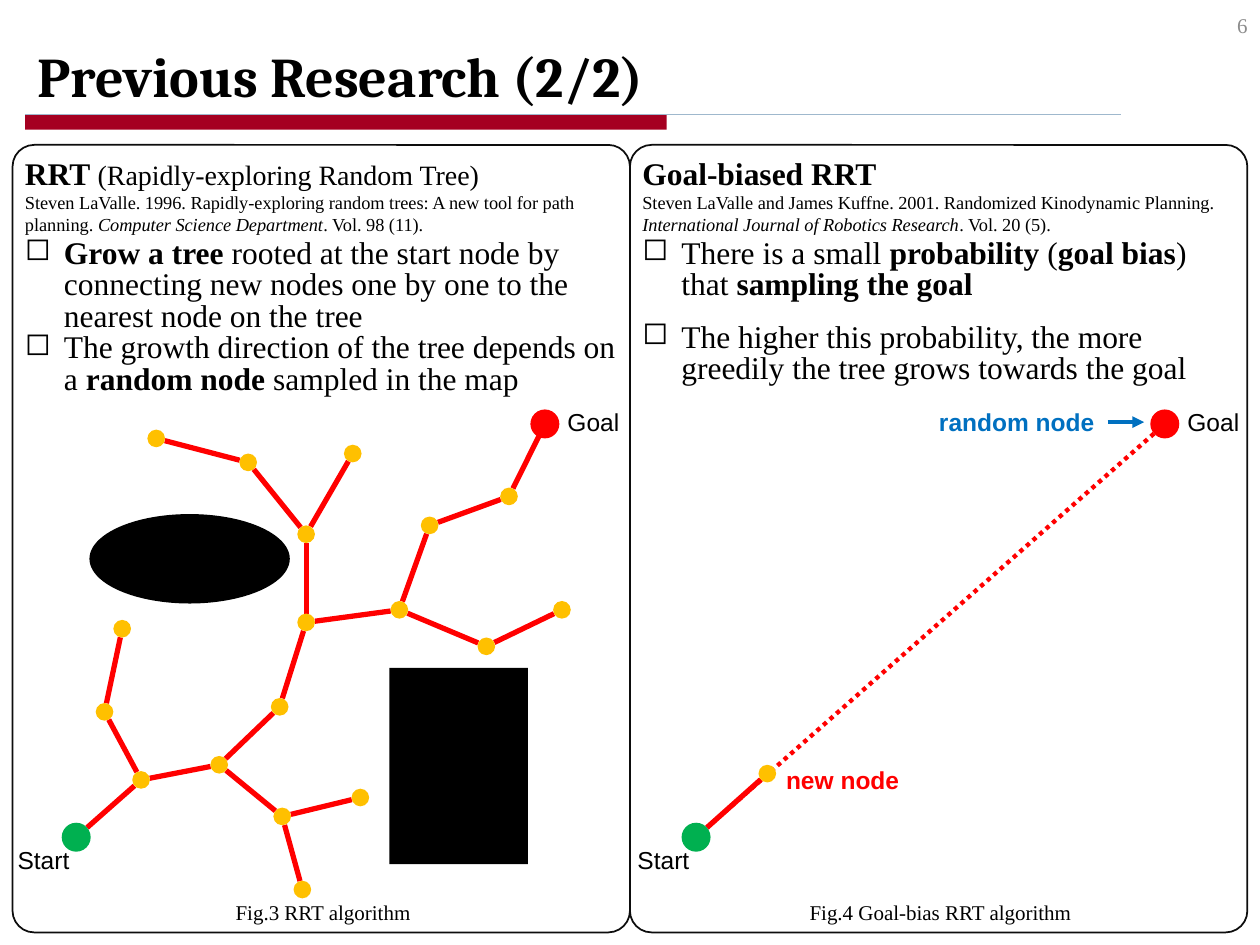
from math import hypot
from pptx import Presentation
from pptx.dml.color import RGBColor
from pptx.enum.dml import MSO_LINE
from pptx.enum.shapes import MSO_CONNECTOR, MSO_SHAPE
from pptx.enum.text import MSO_ANCHOR, PP_ALIGN
from pptx.oxml.ns import qn
from pptx.util import Inches, Pt
from lxml.etree import SubElement

COLORS = {
    "black": "000000", "frame": "0D0D0D", "wine": "A50021", "rule": "9FB8CD",
    "red": "FF0000", "green": "00B050", "gold": "FFC000", "blue": "0070C0", "gray": "8C8C8C",
}
SERIF = "Times New Roman"
FONTS = {
    "title": {"name": "Cambria", "size": Pt(32), "bold": True},
    "page": {"name": SERIF, "size": Pt(12)},
    "label": {"name": "Arial", "size": Pt(14)},
    "strong": {"name": "Arial", "size": Pt(14), "bold": True},
    "head": {"name": SERIF, "size": Pt(16)},
    "head*": {"name": SERIF, "size": Pt(18), "bold": True},
    "cite": {"name": SERIF, "size": Pt(10.5)},
    "cite*": {"name": SERIF, "size": Pt(10.5), "italic": True},
    "item": {"name": SERIF, "size": Pt(18)},
    "item*": {"name": SERIF, "size": Pt(18), "bold": True},
}
PARAS = {
    "cite": {"space_after": Pt(2)},
    "item": {"line_spacing": Pt(18)},
}
COLS, ROWS = 100, 75
DOT, DISC = 0.7, 1.15

START, GOAL = (6.05, 66.45), (43.25, 33.65)
SHIFT = 49.2
TREE = {
    "a": ("start", 11.2, 61.9), "b": ("a", 8.3, 56.5), "c": ("b", 9.7, 49.9),
    "d": ("a", 17.4, 60.7), "e": ("d", 22.4, 64.8), "f": ("e", 28.6, 63.3),
    "g": ("e", 24, 70.6), "h": ("d", 22.2, 56.1), "i": ("h", 24.3, 49.4),
    "j": ("i", 24.3, 42.4), "k": ("j", 19.7, 36.7), "l": ("k", 12.4, 34.8),
    "m": ("j", 28, 36), "n": ("i", 31.7, 48.4), "o": ("n", 34.1, 41.7),
    "p": ("o", 40.4, 39.4), "q": ("n", 38.6, 51.3), "r": ("q", 44.6, 48.4),
}
LEFT = [
    ("head", "*RRT *(Rapidly-exploring Random Tree)", {}),
    ("cite", "Steven LaValle. 1996. Rapidly-exploring random trees: A new tool for path planning. "
             "*Computer Science Department*. Vol. 98 (11).", {}),
    ("item", "*Grow a tree *rooted at the start node by connecting new nodes one by one "
             "to the nearest node on the tree", {}),
    ("item", "The growth direction of the tree depends on a *random node *sampled in the map", {}),
]
RIGHT = [
    ("head", "*Goal-biased RRT*", {}),
    ("cite", "Steven LaValle and James Kuffne. 2001. Randomized Kinodynamic Planning. "
             "*International Journal of Robotics Research*. Vol. 20 (5).", {}),
    ("item", "There is a small *probability *(*goal bias*) that *sampling the goal*", {}),
    ("item", "The higher this probability, the more greedily the tree grows towards the goal",
     {"space_before": Pt(12)}),
]


def tint(name):
    return RGBColor.from_string(COLORS[name])


def assign(target, values):
    for key, value in values.items():
        setattr(target, key, value)


class Page:
    def __init__(self, deck):
        self.slide = deck.slides.add_slide(deck.slide_layouts[6])
        self.col = deck.slide_width / COLS
        self.row = deck.slide_height / ROWS

    def span(self, x, y, *rest):
        steps = (self.col, self.row) * 2
        return [round(n * step) for n, step in zip((x, y, *rest), steps)]

    def shape(self, kind, box, fill=None, line=None):
        form = self.slide.shapes.add_shape(kind, *self.span(*box))
        form.shadow.inherit = False
        if fill:
            form.fill.solid()
            form.fill.fore_color.rgb = tint(fill)
        else:
            form.fill.background()
        if line:
            form.line.color.rgb = tint(line)
            form.line.width = Pt(1)
        else:
            form.line.fill.background()
        return form

    def disc(self, spot, size, fill):
        x, y = spot
        self.shape(MSO_SHAPE.OVAL, (x - size, y - size, 2 * size, 2 * size), fill)

    def line(self, start, end, color, width, dash=None, arrow=False):
        link = self.slide.shapes.add_connector(
            MSO_CONNECTOR.STRAIGHT, *self.span(*start, *end))
        link.line.color.rgb = tint(color)
        assign(link.line, {"width": Pt(width), "dash_style": dash})
        if arrow:
            SubElement(link.line._get_or_add_ln(), qn("a:tailEnd"), type="triangle")
        SubElement(link._element.spPr, qn("a:effectLst"))
        return link

    def edge(self, start, end, trim, width=3, dash=None):
        dx, dy = end[0] - start[0], end[1] - start[1]
        size = hypot(dx, dy)
        ends = [(x + sign * cut * dx / size, y + sign * cut * dy / size)
                for (x, y), cut, sign in zip((start, end), trim, (1, -1))]
        self.line(*ends, "red", width, dash)

    def text(self, box, paras, color="black", align=PP_ALIGN.LEFT,
             anchor=MSO_ANCHOR.TOP, wrap=True):
        form = self.slide.shapes.add_textbox(*self.span(*box))
        frame = form.text_frame
        assign(frame, {"word_wrap": wrap, "vertical_anchor": anchor})
        for n, (style, words, extra) in enumerate(paras):
            para = frame.add_paragraph() if n else frame.paragraphs[0]
            assign(para, {"alignment": align, **PARAS.get(style, {}), **extra})
            if style == "item":
                self.bullet(para)
            for turn, part in enumerate(words.split("*")):
                if part:
                    run = para.add_run()
                    run.text = part
                    assign(run.font, FONTS[style + "*" * (turn % 2)])
                    run.font.color.rgb = tint(color)
        return form

    def bullet(self, para):
        props = para._p.get_or_add_pPr()
        props.set("marL", str(Inches(0.31)))
        props.set("indent", str(-Inches(0.31)))
        SubElement(props, qn("a:buChar"), char="◻")

    def label(self, box, words, style="label", color="black",
              align=PP_ALIGN.CENTER, **more):
        return self.text(box, [(style, words, {})], color, align, **more)


def main():
    deck = Presentation()
    deck.slide_width, deck.slide_height = Inches(10), Inches(7.5)
    page = Page(deck)

    page.shape(MSO_SHAPE.RECTANGLE, (2, 9.1, 50.9, 1.2), "wine")
    page.line((2, 9.1), (89, 9.1), "rule", 0.75)
    page.label((2, 0, 98, 9.1), "Previous Research (2/2)", "title",
               align=PP_ALIGN.LEFT, anchor=MSO_ANCHOR.BOTTOM)
    page.label((77.5, 0, 22.5, 4), "6", "page", "gray",
               PP_ALIGN.RIGHT, anchor=MSO_ANCHOR.MIDDLE)

    for x, paras, note in ((1, LEFT, "Fig.3 RRT algorithm"),
                           (50, RIGHT, "Fig.4 Goal-bias RRT algorithm")):
        panel = page.shape(MSO_SHAPE.ROUNDED_RECTANGLE, (x, 11.5, 49, 62.5), line="frame")
        panel.adjustments[0] = 0.035
        page.text((x, 11.7, 49, 20), paras)
        page.label((x + 8.8, 70.9, 31.7, 3), note, "page")

    page.shape(MSO_SHAPE.OVAL, (7.1, 40.8, 15.9, 7.1), "black")
    page.shape(MSO_SHAPE.RECTANGLE, (30.9, 53, 11, 15.6), "black")

    spots = {"start": START, **{name: (x, y) for name, (_, x, y) in TREE.items()}}
    for name, (root, *_) in TREE.items():
        page.edge(spots[root], spots[name], (DISC if root == "start" else DOT, DOT))
    page.edge(spots["p"], GOAL, (DOT, 0))

    first, last = [(x + SHIFT, y) for x, y in (START, GOAL)]
    fresh = (60.9, 61.4)
    page.edge(last, first, (DISC, DISC), 2.5, MSO_LINE.ROUND_DOT)
    page.edge(first, fresh, (DISC, DOT))

    for name in TREE:
        page.disc(spots[name], DOT, "gold")
    page.disc(fresh, DOT, "gold")
    for x in (0, SHIFT):
        page.disc((START[0] + x, START[1]), DISC, "green")
        page.disc((GOAL[0] + x, GOAL[1]), DISC, "red")
        page.label((x, 66.6, 6.9, 4), "Start")
        page.label((43.9 + x, 31.8, 6.4, 4), "Goal")

    tag = page.label((73.5, 31.8, 14.4, 3.4), "random node", "strong", "blue", wrap=False)
    arrow = page.line((87.9, 33.5), (90.8, 33.5), "blue", 2.25, arrow=True)
    arrow.begin_connect(tag, 3)
    page.label((61.4, 60.2, 11, 3.4), "new node", "strong", "red",
               PP_ALIGN.LEFT, wrap=False)

    deck.save("out.pptx")


if __name__ == "__main__":
    main()
